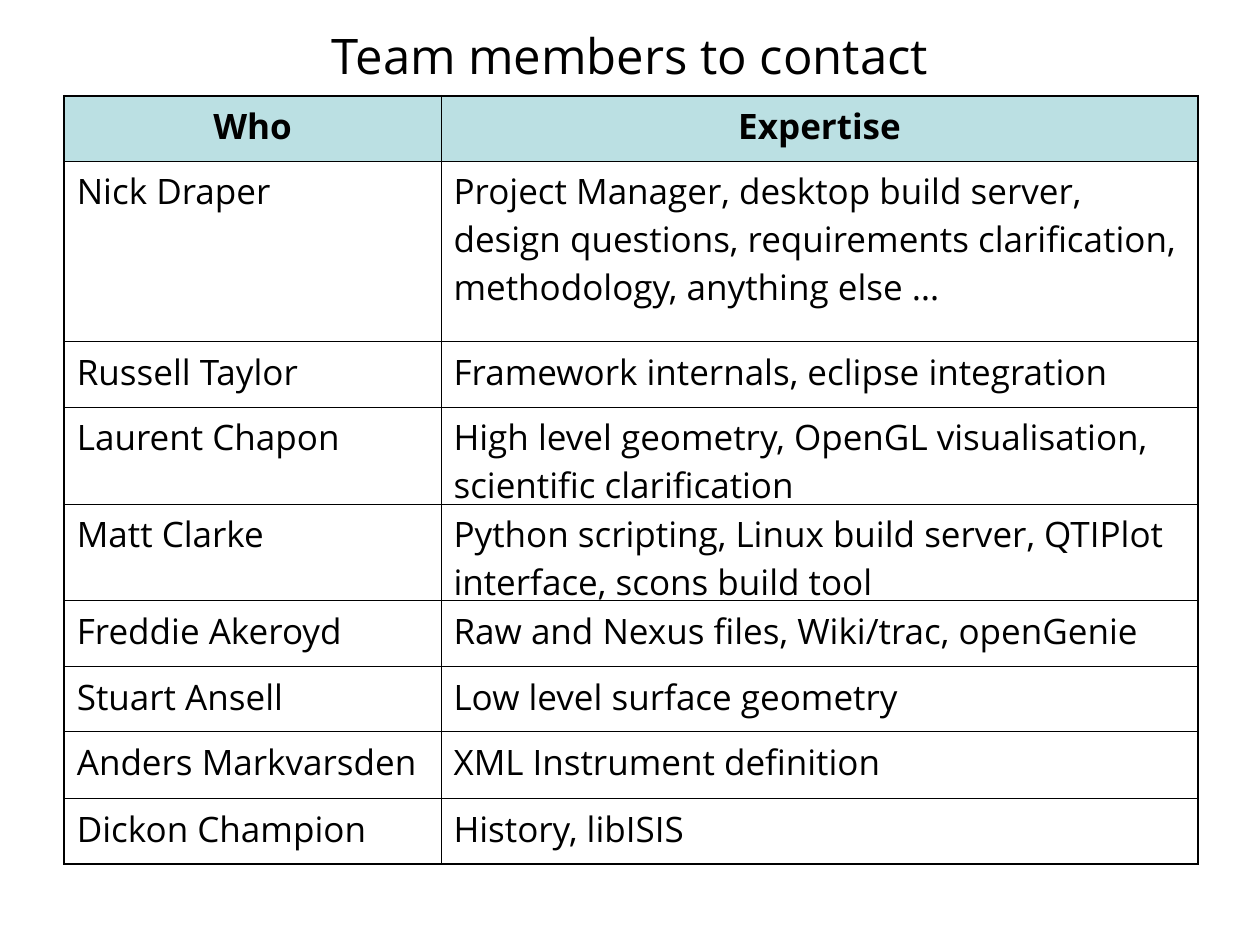
from dataclasses import dataclass

from lxml import etree
from pptx import Presentation
from pptx import util as u
from pptx.dml import color
from pptx.enum import text
from pptx.oxml import ns


@dataclass(frozen=True)
class Theme:
    font: str = "Open Sans"
    ink: str = "000000"
    header_fill: str = "BBE0E3"
    title_size: int = 28
    table_size: int = 20
    outer_line: float = 1.08
    inner_line: float = 0.45


THEME = Theme()
TITLE = "Team members to contact"
HEADINGS = ("Who", "Expertise")
MEMBERS = [
    ("Nick Draper", "Project Manager, desktop build server, design questions, "
     "requirements clarification, methodology, anything else …"),
    ("Russell Taylor", "Framework internals, eclipse integration"),
    ("Laurent Chapon", "High level geometry, OpenGL visualisation, scientific clarification"),
    ("Matt Clarke", "Python scripting, Linux build server, QTIPlot interface, scons build tool"),
    ("Freddie Akeroyd", "Raw and Nexus files, Wiki/trac, openGenie"),
    ("Stuart Ansell", "Low level surface geometry"),
    ("Anders Markvarsden", "XML Instrument definition"),
    ("Dickon Champion", "History, libISIS"),
]
COLUMN_WIDTHS = (2.99, 6.01)
ROW_HEIGHTS = (0.52, 1.43, 0.52, 0.77, 0.77, 0.52, 0.52, 0.53, 0.52)


def write(frame, words, size, bold=False, centred=False):
    """Put one run of themed text into a text frame."""
    frame.word_wrap = True
    para = frame.paragraphs[0]
    para.alignment = text.PP_ALIGN.CENTER if centred else text.PP_ALIGN.LEFT
    span = para.add_run()
    span.text = words
    span.font.name = THEME.font
    span.font.size = u.Pt(size)
    span.font.bold = bold
    span.font.color.rgb = color.RGBColor.from_string(THEME.ink)


def add_title(page):
    box = page.shapes.add_textbox(u.Inches(0.5), u.Inches(-0.19), u.Inches(9), u.Inches(1.25))
    box.text_frame.vertical_anchor = text.MSO_ANCHOR.MIDDLE
    write(box.text_frame, TITLE, THEME.title_size, centred=True)


def set_borders(cell, outer_sides):
    """Draw all four cell edges, heavier on the outside of the table."""
    properties = cell._tc.get_or_add_tcPr()
    for index, side in enumerate("LRTB"):
        width = THEME.outer_line if side in outer_sides else THEME.inner_line
        edge = etree.Element(ns.qn(f"a:ln{side}"), w=str(int(u.Pt(width))))
        fill = etree.SubElement(edge, ns.qn("a:solidFill"))
        etree.SubElement(fill, ns.qn("a:srgbClr"), val=THEME.ink)
        properties.insert(index, edge)


def add_contact_table(page):
    rows = [HEADINGS, *MEMBERS]
    frame = page.shapes.add_table(
        len(rows), len(HEADINGS), u.Inches(0.51), u.Inches(0.76),
        u.Inches(sum(COLUMN_WIDTHS)), u.Inches(sum(ROW_HEIGHTS)))
    table = frame.table
    table.horz_banding = False

    # Grid
    for column, width in zip(table.columns, COLUMN_WIDTHS):
        column.width = u.Inches(width)
    for row, height in zip(table.rows, ROW_HEIGHTS):
        row.height = u.Inches(height)

    # Cells
    for r, entries in enumerate(rows):
        is_header = r == 0
        for c, words in enumerate(entries):
            cell = table.cell(r, c)
            write(cell.text_frame, words, THEME.table_size, bold=is_header, centred=is_header)
            if is_header:
                cell.fill.solid()
                cell.fill.fore_color.rgb = color.RGBColor.from_string(THEME.header_fill)
            else:
                cell.fill.background()
            outer_sides = "L" if c == 0 else "R"
            if is_header:
                outer_sides += "T"
            if r == len(rows) - 1:
                outer_sides += "B"
            set_borders(cell, outer_sides)


def main():
    deck = Presentation()
    deck.slide_width, deck.slide_height = u.Inches(10), u.Inches(7.5)
    page = deck.slides.add_slide(deck.slide_layouts[6])
    add_title(page)
    add_contact_table(page)
    deck.save("out.pptx")


if __name__ == "__main__":
    main()
